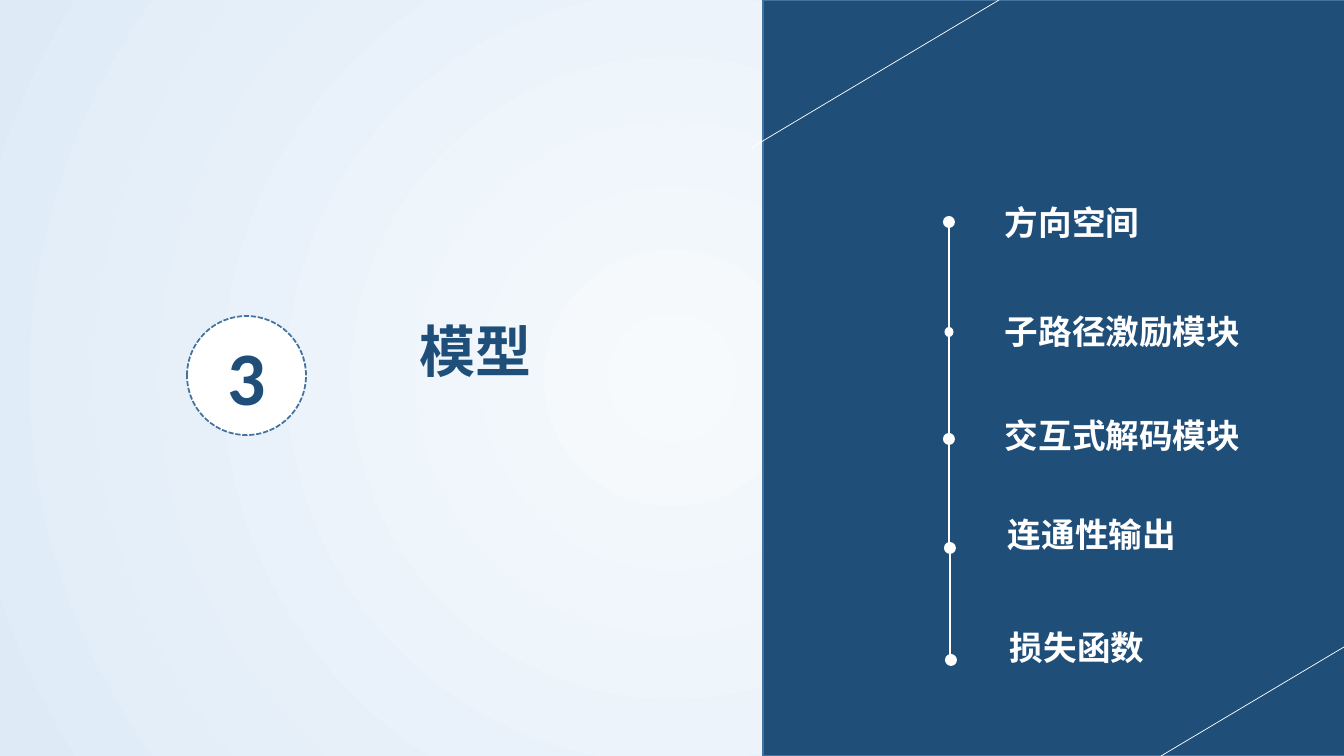
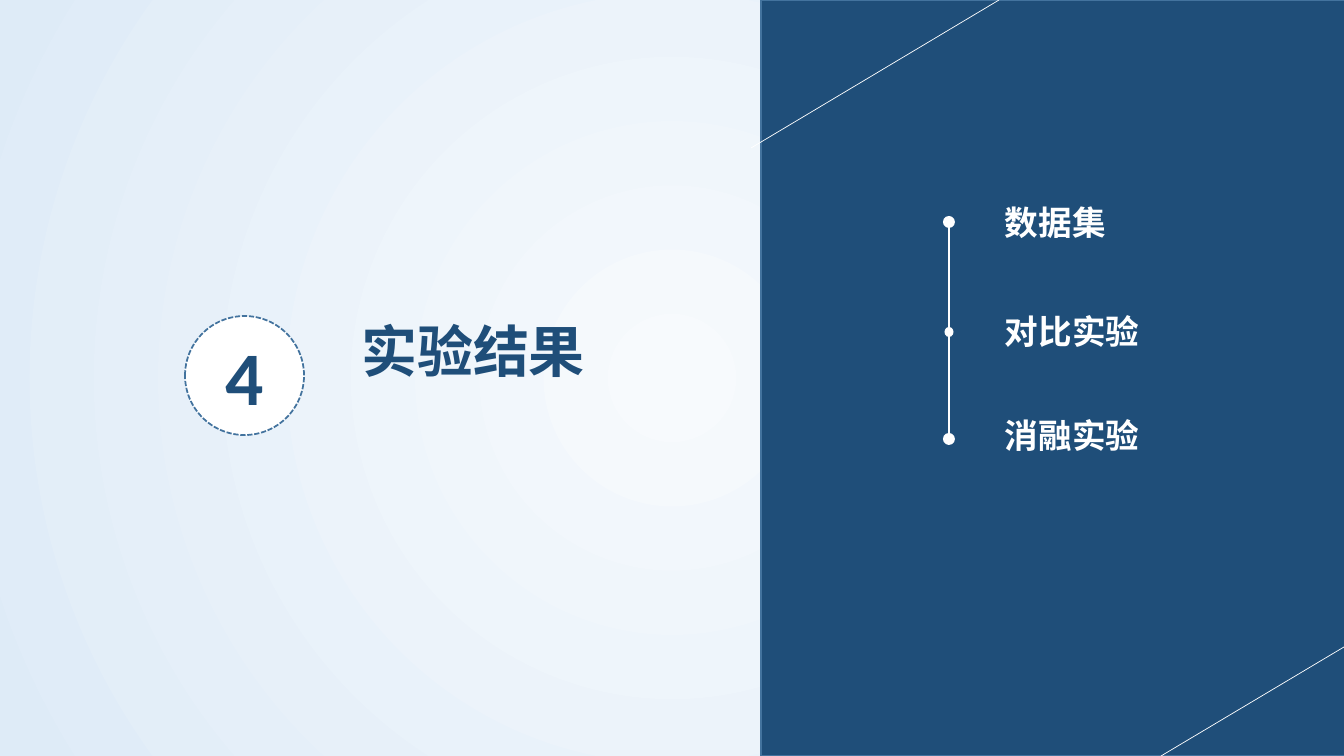
from collections import namedtuple

from lxml import etree
from pptx import Presentation, util as u
from pptx.dml.color import RGBColor
from pptx.enum import dml, shapes, text
from pptx.oxml.ns import qn

EMU_PER_PX = 914400 / 100.8
SLIDE_W, SLIDE_H = 1344, 756

NAVY = RGBColor(0x1F, 0x4E, 0x79)
OUTLINE = RGBColor(0x43, 0x73, 0x9E)
WHITE = RGBColor(0xFF, 0xFF, 0xFF)
GLOW_CENTRE = RGBColor(0xF7, 0xFA, 0xFD)
GLOW_EDGE = RGBColor(0xDE, 0xEB, 0xF7)

CJK = "Noto Sans CJK SC"
NUMBER_STYLE = {"name": "Calibri", "size": u.Pt(54), "bold": True}
TITLE_STYLE = {"name": CJK, "size": u.Pt(40), "bold": True}
TOPIC_STYLE = {"name": CJK, "size": u.Pt(24), "bold": True}

Stop = namedtuple("Stop", "dot_x dot_y dot_w dot_h label_x label_y")
STOPS = [
    Stop(7, 7, 12, 12, 53, -18),
    Stop(7, 117, 9, 10, 53, 91),
    Stop(7, 224, 12, 12, 53, 195),
    Stop(8, 333, 12, 12, 56, 294),
    Stop(9, 445, 12, 12, 58, 407),
]
SECTIONS = [
    ("3", "模型", 2, ["方向空间", "子路径激励模块", "交互式解码模块", "连通性输出", "损失函数"]),
    ("4", "实验结果", 0, ["数据集", "对比实验", "消融实验"]),
]


def px(*lengths):
    """Turn pixel lengths into EMU."""
    return [u.Emu(round(length * EMU_PER_PX)) for length in lengths]


def write(frame, words, style, color, align=text.PP_ALIGN.LEFT):
    """Write one styled line into a text frame."""
    frame.word_wrap = True
    paragraph = frame.paragraphs[0]
    paragraph.alignment = align
    run = paragraph.add_run()
    run.text = words
    for key, value in style.items():
        setattr(run.font, key, value)
    run.font.color.rgb = color
    etree.SubElement(run._r.get_or_add_rPr(), qn("a:ea"), typeface=style["name"])


def add_label(slide, box, words, style, color, align=text.PP_ALIGN.LEFT):
    """Add a text box that grows with its line."""
    frame = slide.shapes.add_textbox(*px(*box)).text_frame
    write(frame, words, style, color, align)
    frame.auto_size = text.MSO_AUTO_SIZE.SHAPE_TO_FIT_TEXT


def add_solid(slide, kind, box, fill, outline=None, width=1):
    """Add a flat shape, outlined if a colour is given."""
    solid = slide.shapes.add_shape(kind, *px(*box))
    solid.shadow.inherit = False
    solid.fill.solid()
    solid.fill.fore_color.rgb = fill
    if outline is None:
        solid.line.fill.background()
    else:
        solid.line.color.rgb = outline
        solid.line.width = u.Pt(width)
    return solid


def add_rule(slide, ends, width):
    """Add a straight white line."""
    rule = slide.shapes.add_connector(shapes.MSO_CONNECTOR.STRAIGHT, *px(*ends))
    rule.line.color.rgb = WHITE
    rule.line.width = u.Pt(width)
    etree.SubElement(rule.element.spPr, qn("a:effectLst"))


def paint_background(slide):
    """Fill the background with a circular glow."""
    fill = slide.background.fill
    fill.gradient()
    for stop, color, position in zip(fill.gradient_stops, (GLOW_CENTRE, GLOW_EDGE), (0, 1)):
        stop.color.rgb = color
        stop.position = position
    gradient = slide.element.find(".//" + qn("a:gradFill"))
    gradient.remove(gradient.find(qn("a:lin")))
    circle = etree.SubElement(gradient, qn("a:path"), path="circle")
    etree.SubElement(circle, qn("a:fillToRect"), l="50000", t="50000", r="50000", b="50000")


def add_heading(slide, left, top, number, title):
    """Place the section number in its badge and the title beside it."""
    badge = add_solid(slide, shapes.MSO_SHAPE.OVAL, (left, top + 4, 119, 119), WHITE, OUTLINE, 1.25)
    badge.line.dash_style = dml.MSO_LINE.SQUARE_DOT
    badge.text_frame.vertical_anchor = text.MSO_ANCHOR.MIDDLE
    write(badge.text_frame, number, NUMBER_STYLE, NAVY, text.PP_ALIGN.CENTER)
    add_label(slide, (left + 130, top, 316, 78), title, TITLE_STYLE, NAVY, text.PP_ALIGN.CENTER)


def add_panel(slide, left):
    """Place the navy panel and its two corner diagonals."""
    add_solid(slide, shapes.MSO_SHAPE.RECTANGLE, (left, 0, 584, SLIDE_H), NAVY, OUTLINE)
    for ends in ((999, 0, 751, 148), (SLIDE_W, 647, 1161, SLIDE_H)):
        add_rule(slide, ends, 0.5)


def add_timeline(slide, left, top, topics):
    """Place the dots, the lines between them and the topics."""
    stops = STOPS[:len(topics)]
    for upper, lower in zip(stops, stops[1:]):
        x = left + upper.dot_x
        add_rule(slide, (x, top + upper.dot_y, x, top + lower.dot_y), 1)
    for stop, topic in zip(stops, topics):
        dot = (left + stop.dot_x - stop.dot_w / 2, top + stop.dot_y - stop.dot_h / 2,
               stop.dot_w, stop.dot_h)
        add_solid(slide, shapes.MSO_SHAPE.OVAL, dot, WHITE)
        label = (left + stop.label_x, top + stop.label_y, 264, 50)
        add_label(slide, label, topic, TOPIC_STYLE, WHITE)


def add_section(deck, number, title, shift, topics):
    """Build one section divider."""
    slide = deck.slides.add_slide(deck.slide_layouts[6])
    paint_background(slide)
    add_heading(slide, 185 + shift, 312, number, title)
    add_panel(slide, 761 + shift)
    add_timeline(slide, 942, 215, topics)


def main():
    """Build and save the deck."""
    deck = Presentation()
    deck.slide_width, deck.slide_height = px(SLIDE_W, SLIDE_H)
    for section in SECTIONS:
        add_section(deck, *section)
    deck.save("out.pptx")


if __name__ == "__main__":
    main()
